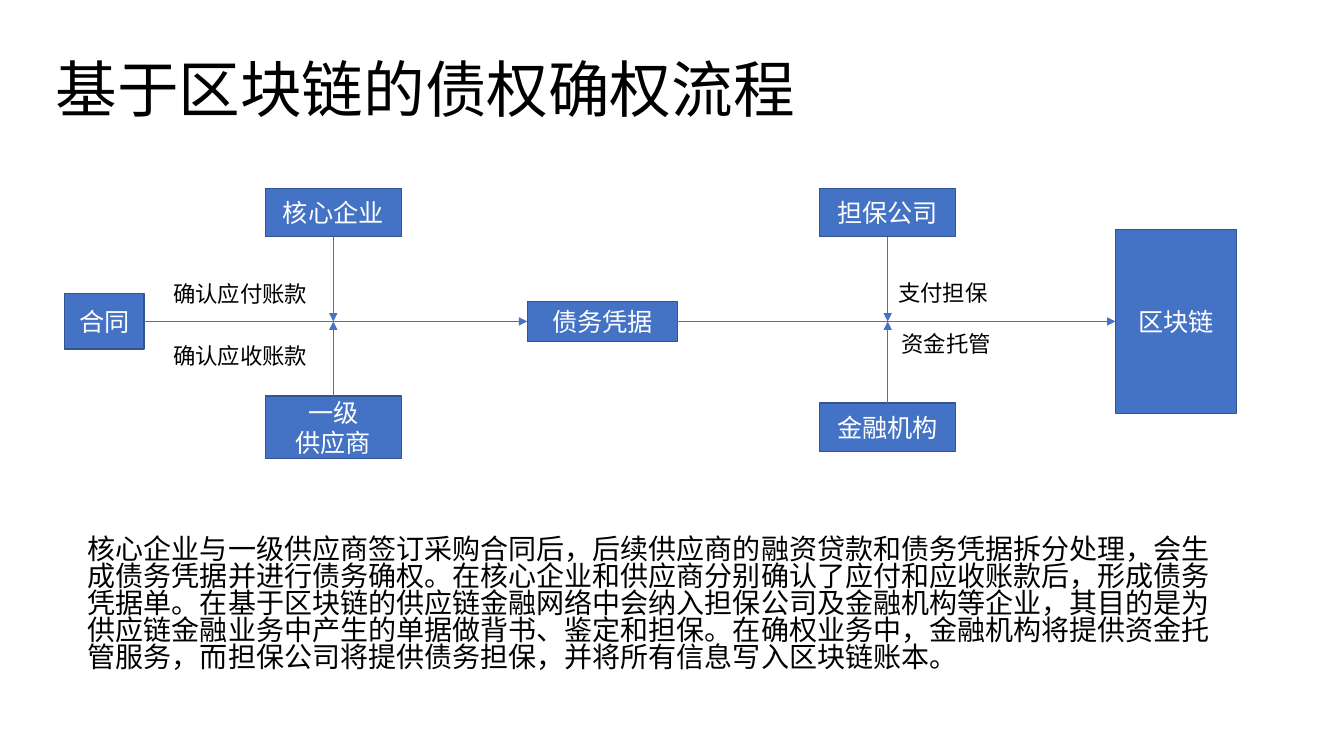
from dataclasses import dataclass
from typing import Optional

from lxml import etree
from pptx import Presentation
from pptx.dml.color import RGBColor
from pptx.enum.shapes import MSO_CONNECTOR, MSO_SHAPE
from pptx.enum.text import MSO_ANCHOR, MSO_AUTO_SIZE, PP_ALIGN
from pptx.oxml.ns import qn
from pptx.util import Inches, Pt

RECTANGLE = MSO_SHAPE.RECTANGLE
STRAIGHT = MSO_CONNECTOR.STRAIGHT
LEFT, CENTER = PP_ALIGN.LEFT, PP_ALIGN.CENTER
MIDDLE, TOP = MSO_ANCHOR.MIDDLE, MSO_ANCHOR.TOP
NO_AUTOFIT, GROW = MSO_AUTO_SIZE.NONE, MSO_AUTO_SIZE.SHAPE_TO_FIT_TEXT
SITE_TOP, SITE_LEFT, SITE_BOTTOM, SITE_RIGHT = range(4)


@dataclass(frozen=True)
class Theme:
    font: str = "Noto Sans CJK SC"
    ink: RGBColor = RGBColor(0x00, 0x00, 0x00)
    paper: RGBColor = RGBColor(0xFF, 0xFF, 0xFF)
    accent: RGBColor = RGBColor(0x44, 0x72, 0xC4)
    border: RGBColor = RGBColor(0x32, 0x54, 0x91)
    title_size: int = 44
    body_size: int = 20
    box_size: int = 18
    label_size: int = 16
    border_width: float = 1
    arrow_width: float = 0.5


@dataclass(frozen=True)
class Node:
    """A box given by its centre and size, in columns and rows."""
    text: str
    column: float
    row: float
    columns: float
    rows: float


@dataclass(frozen=True)
class Label:
    """A caption given by its left edge, middle row and width."""
    text: str
    column: float
    row: float
    columns: float


@dataclass(frozen=True)
class Arrow:
    """An arrow between two nodes, or from a node to the main flow line."""
    source: str
    site: int
    target: Optional[str] = None


THEME = Theme()
SLIDE_WIDTH, SLIDE_HEIGHT = Inches(13.33), Inches(7.5)
COLUMN, ROW = SLIDE_WIDTH / 100, SLIDE_HEIGHT / 100

FLOW_ROW, UPPER_ROW, LOWER_ROW = 42.53, 28.13, 56.53
CONFIRM_COLUMN, BACKING_COLUMN = 24.8, 66.05
PARTY_COLUMNS, PARTY_ROWS = 10.13, 6.4
LABEL_ROWS = 4.93

NODES = [
    Node("核心企业", CONFIRM_COLUMN, UPPER_ROW, PARTY_COLUMNS, PARTY_ROWS),
    Node("一级\n供应商", CONFIRM_COLUMN, LOWER_ROW, PARTY_COLUMNS, 8.27),
    Node("合同", 7.76, FLOW_ROW, 5.93, 7.33),
    Node("债务凭据", 44.82, FLOW_ROW, 11.18, 5.33),
    Node("担保公司", BACKING_COLUMN, UPPER_ROW, PARTY_COLUMNS, PARTY_ROWS),
    Node("金融机构", BACKING_COLUMN, LOWER_ROW, PARTY_COLUMNS, PARTY_ROWS),
    Node("区块链", 87.5, FLOW_ROW, 9, 24.27),
]
ARROWS = [
    Arrow("合同", SITE_RIGHT, "债务凭据"),
    Arrow("核心企业", SITE_BOTTOM),
    Arrow("一级\n供应商", SITE_TOP),
    Arrow("债务凭据", SITE_RIGHT, "区块链"),
    Arrow("担保公司", SITE_BOTTOM),
    Arrow("金融机构", SITE_TOP),
]
LABELS = [
    Label("确认应付账款", 12.15, 38.87, 11.63),
    Label("确认应收账款", 12.15, 47, 11.63),
    Label("支付担保", 66.1, 38.73, 8.25),
    Label("资金托管", 66.35, 45.53, 8.25),
]
TITLE = "基于区块链的债权确权流程"
BODY = (
    "核心企业与一级供应商签订采购合同后，后续供应商的融资贷款和债务凭据拆分处理，"
    "会生成债务凭据并进行债务确权。在核心企业和供应商分别确认了应付和应收账款后，"
    "形成债务凭据单。在基于区块链的供应链金融网络中会纳入担保公司及金融机构等企业，"
    "其目的是为供应链金融业务中产生的单据做背书、鉴定和担保。在确权业务中，"
    "金融机构将提供资金托管服务，而担保公司将提供债务担保，并将所有信息写入区块链账本。"
)


def across(columns: float) -> int:
    return round(columns * COLUMN)


def down(rows: float) -> int:
    return round(rows * ROW)


def write(shape, text: str, size: int, color: RGBColor, alignment=LEFT, anchor=TOP) -> None:
    frame = shape.text_frame
    frame.text = text
    frame.vertical_anchor = anchor
    for paragraph in frame.paragraphs:
        paragraph.alignment = alignment
        for run in paragraph.runs:
            run.font.size = Pt(size)
            run.font.name = THEME.font
            run.font.color.rgb = color
            east_asian = etree.SubElement(run.font._element, qn("a:ea"))
            east_asian.set("typeface", THEME.font)


def fill_placeholder(shape, text: str, size: int, anchor, spacing: float,
                     column: float, row: float, columns: float, rows: float) -> None:
    shape.left, shape.top = across(column), down(row)
    shape.width, shape.height = across(columns), down(rows)
    write(shape, text, size, THEME.ink, anchor=anchor)
    shape.text_frame.auto_size = NO_AUTOFIT
    shape.text_frame.paragraphs[0].line_spacing = spacing


def remove_bullet(paragraph) -> None:
    properties = paragraph._p.get_or_add_pPr()
    properties.set("marL", "0")
    properties.set("indent", "0")
    etree.SubElement(properties, qn("a:buNone"))


def draw_node(slide, node: Node):
    shape = slide.shapes.add_shape(
        RECTANGLE, across(node.column - node.columns / 2), down(node.row - node.rows / 2),
        across(node.columns), down(node.rows))
    shape.shadow.inherit = False
    shape.fill.solid()
    shape.fill.fore_color.rgb = THEME.accent
    shape.line.color.rgb = THEME.border
    shape.line.width = Pt(THEME.border_width)
    write(shape, node.text, THEME.box_size, THEME.paper, CENTER, MIDDLE)
    return shape


def draw_arrow(slide, arrow: Arrow, boxes: dict) -> None:
    source = boxes[arrow.source]
    middle = source.left + source.width // 2
    edge = source.top + (source.height if arrow.site == SITE_BOTTOM else 0)
    connector = slide.shapes.add_connector(STRAIGHT, middle, edge, middle, down(FLOW_ROW))
    connector.begin_connect(source, arrow.site)
    if arrow.target:
        connector.end_connect(boxes[arrow.target], SITE_LEFT)
    connector.line.color.rgb = THEME.accent
    connector.line.width = Pt(THEME.arrow_width)
    properties = connector._element.spPr
    tail = etree.SubElement(properties.find(qn("a:ln")), qn("a:tailEnd"))
    tail.set("type", "triangle")
    etree.SubElement(properties, qn("a:effectLst"))


def draw_label(slide, label: Label) -> None:
    shape = slide.shapes.add_textbox(
        across(label.column), down(label.row - LABEL_ROWS / 2),
        across(label.columns), down(LABEL_ROWS))
    write(shape, label.text, THEME.label_size, THEME.ink)
    shape.text_frame.word_wrap = False
    shape.text_frame.auto_size = GROW


def main() -> None:
    presentation = Presentation()
    presentation.slide_width, presentation.slide_height = SLIDE_WIDTH, SLIDE_HEIGHT
    slide = presentation.slides.add_slide(presentation.slide_layouts[1])

    fill_placeholder(slide.shapes.title, TITLE, THEME.title_size, MIDDLE, 0.9,
                     3.38, 5.33, 89.8, 13.87)
    body = slide.placeholders[1]
    fill_placeholder(body, BODY, THEME.body_size, TOP, 0.8, 5.78, 70.53, 87, 24.93)
    paragraph = body.text_frame.paragraphs[0]
    paragraph.space_before = Pt(10)
    remove_bullet(paragraph)

    boxes = {node.text: draw_node(slide, node) for node in NODES}
    for arrow in ARROWS:
        draw_arrow(slide, arrow, boxes)
    for label in LABELS:
        draw_label(slide, label)
    presentation.save("out.pptx")


if __name__ == "__main__":
    main()
